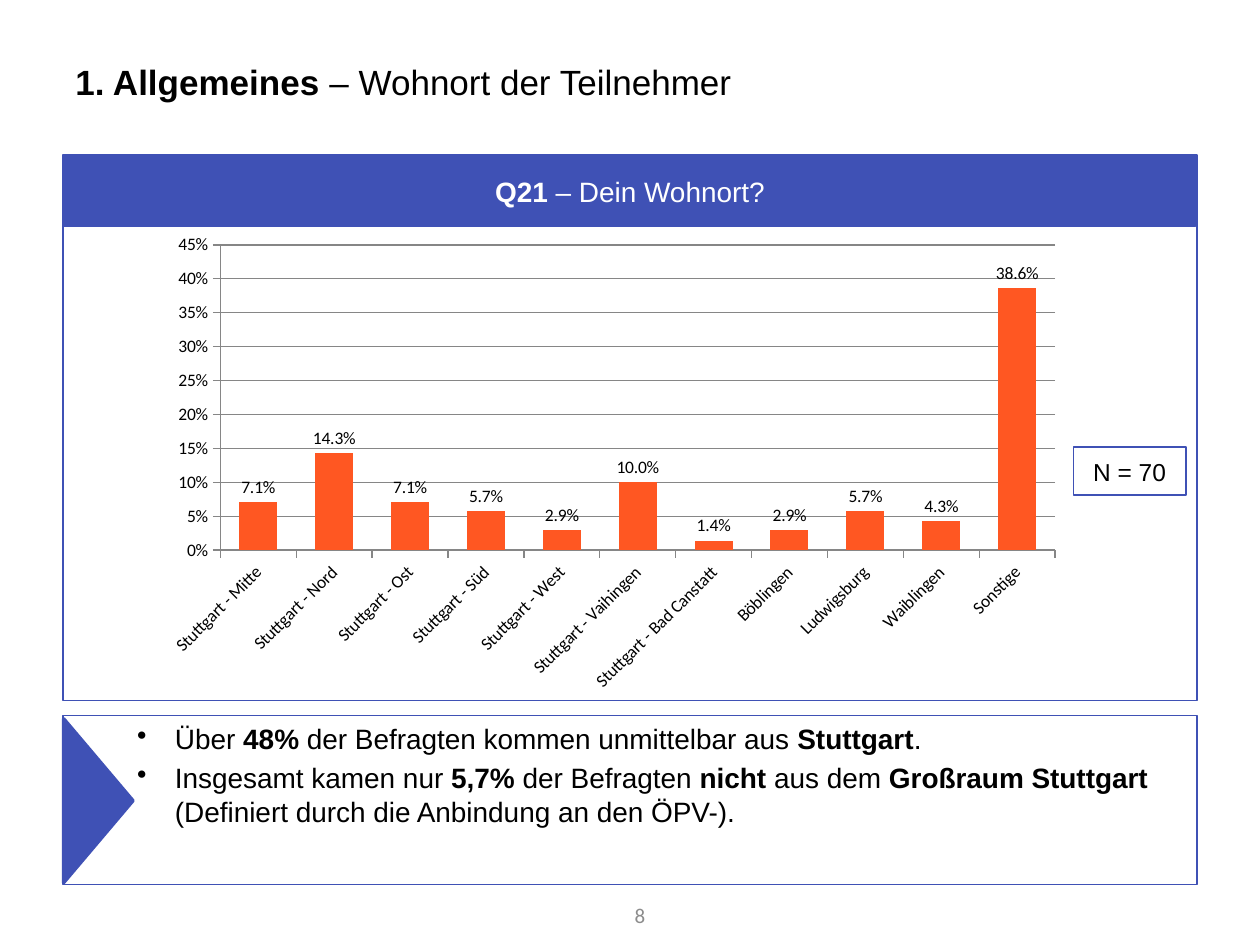
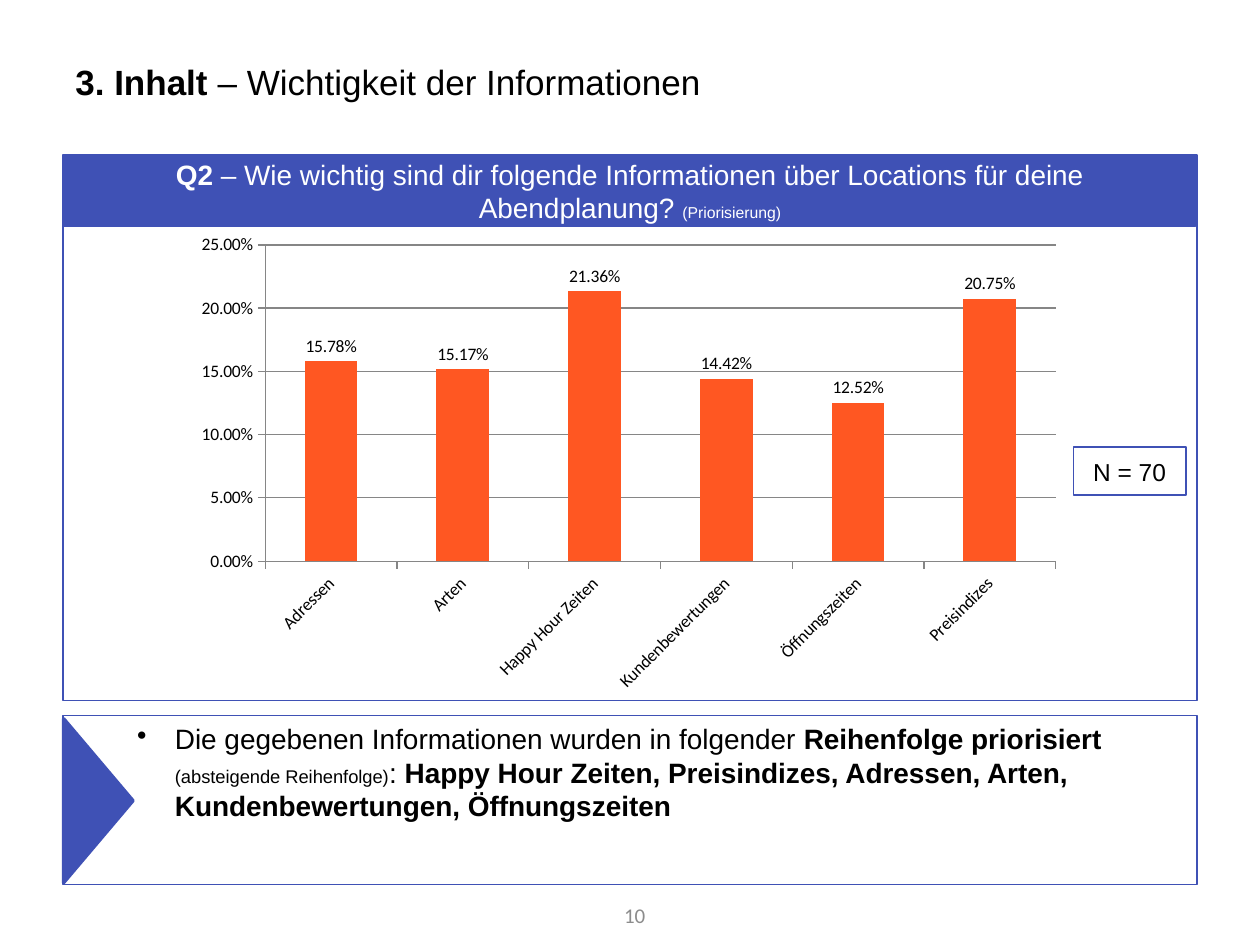
import pptx
import pptx.util
import pptx.chart.data
import pptx.dml.color
import pptx.enum.chart
import pptx.enum.shapes
import pptx.enum.text
import pptx.oxml

Inches, Pt = pptx.util.Inches, pptx.util.Pt
RGB = pptx.dml.color.RGBColor.from_string
ALIGN = pptx.enum.text.PP_ALIGN
ANCHOR = pptx.enum.text.MSO_ANCHOR
SHAPE = pptx.enum.shapes.MSO_SHAPE
XL = pptx.enum.chart

COLORS = {"accent": "3F51B5", "bar": "FF5722", "text": "000000",
          "on_accent": "FFFFFF", "page": "8C8C8C", "axis": "868686"}
BOLD = {"bold": True}

questions = [
    {
        "title": [("1. Allgemeines ", BOLD), ("– Wohnort der Teilnehmer", {})],
        "question": [("Q21 ", BOLD), ("– Dein Wohnort?", {})],
        "findings": [
            [("Über ", {}), ("48% ", BOLD),
             ("der Befragten kommen unmittelbar aus ", {}),
             ("Stuttgart", BOLD), (".", {})],
            [("Insgesamt kamen nur ", {}), ("5,7% ", BOLD),
             ("der Befragten ", {}), ("nicht", BOLD), (" aus dem ", {}),
             ("Großraum Stuttgart ", BOLD),
             ("(Definiert durch die Anbindung an den ÖPV-).", {})],
        ],
        "page": "8",
        "chart_left": 1.22,
        "answers": {
            "Stuttgart - Mitte": 0.071, "Stuttgart - Nord": 0.143,
            "Stuttgart - Ost": 0.071, "Stuttgart - Süd": 0.057,
            "Stuttgart - West": 0.029, "Stuttgart - Vaihingen": 0.1,
            "Stuttgart - Bad Canstatt": 0.014, "Böblingen": 0.029,
            "Ludwigsburg": 0.057, "Waiblingen": 0.043, "Sonstige": 0.386,
        },
        "maximum": 0.45, "gap": 100,
        "axis_format": "0%", "label_format": "0.0%",
    },
    {
        "title": [("3. Inhalt ", BOLD), ("– Wichtigkeit der Informationen", {})],
        "question": [
            ("Q2 ", BOLD),
            ("– Wie wichtig sind dir folgende Informationen über Locations "
             "für deine Abendplanung? ", {}),
            ("(Priorisierung)", {"size": Pt(9)})],
        "findings": [
            [("Die gegebenen Informationen wurden in folgender ", {}),
             ("Reihenfolge priorisiert ", BOLD),
             ("(absteigende Reihenfolge)", {"size": Pt(10.5)}), (": ", {}),
             ("Happy Hour Zeiten, Preisindizes, Adressen, Arten, "
              "Kundenbewertungen, Öffnungszeiten", BOLD)],
        ],
        "page": "10",
        "chart_left": 1.46,
        "answers": {
            "Adressen": 0.1578, "Arten": 0.1517, "Happy Hour Zeiten": 0.2136,
            "Kundenbewertungen": 0.1442, "Öffnungszeiten": 0.1252,
            "Preisindizes": 0.2075,
        },
        "maximum": 0.25, "gap": 150,
        "axis_format": "0.00%", "label_format": "0.00%",
    },
]


def add_panel(slide, at, line_width, fill=None, preset=SHAPE.RECTANGLE):
    """Add a preset shape outlined in the accent colour."""
    panel = slide.shapes.add_shape(preset, *map(Inches, at))
    panel.shadow.inherit = False
    panel.line.color.rgb = RGB(COLORS["accent"])
    panel.line.width = Pt(line_width)
    if fill:
        panel.fill.solid()
        panel.fill.fore_color.rgb = RGB(COLORS[fill])
    else:
        panel.fill.background()
    return panel


def write(shape, paragraphs, size, color="text", font="Arial",
          align=ALIGN.LEFT, anchor=ANCHOR.MIDDLE, bullets=False):
    """Fill a shape with paragraphs, each a list of (text, font changes)."""
    frame = shape.text_frame
    frame.word_wrap = True
    frame.vertical_anchor = anchor
    for index, runs in enumerate(paragraphs):
        paragraph = frame.add_paragraph() if index else frame.paragraphs[0]
        paragraph.alignment = align
        if bullets:
            properties = paragraph._p.get_or_add_pPr()
            properties.set("marL", str(Inches(0.79)))
            properties.set("indent", str(Inches(-0.3)))
            properties.append(pptx.oxml.parse_xml(
                '<a:buChar xmlns:a="http://schemas.openxmlformats.org/'
                'drawingml/2006/main" char="•"/>'))
            if index:
                paragraph.space_before = Pt(size * 0.2)
        for text, changes in runs:
            run = paragraph.add_run()
            run.text = text
            run.font.color.rgb = RGB(COLORS[color])
            values = {"name": font, "size": Pt(size), "bold": False} | changes
            for attribute, value in values.items():
                setattr(run.font, attribute, value)


deck = pptx.Presentation()
deck.slide_width, deck.slide_height = Inches(10), Inches(7.5)

for content in questions:
    slide = deck.slides.add_slide(deck.slide_layouts[6])

    title = slide.shapes.add_textbox(*map(Inches, (0.5, 0.3, 9, 0.69)))
    write(title, [content["title"]], 20)

    findings = add_panel(slide, (0.5, 5.68, 9, 1.34), 1)
    write(findings, content["findings"], 16, anchor=ANCHOR.TOP, bullets=True)
    pointer = add_panel(slide, (0.13, 6.08, 1.3, 0.55), 2, "accent",
                        SHAPE.ISOSCELES_TRIANGLE)
    pointer.rotation = 90

    add_panel(slide, (0.5, 1.23, 9, 4.33), 1)
    question = add_panel(slide, (0.51, 1.24, 8.98, 0.55), 2, "accent")
    write(question, [content["question"]], 16, "on_accent", align=ALIGN.CENTER)

    sample_size = add_panel(slide, (8.52, 3.55, 0.89, 0.38), 1)
    write(sample_size, [[("N = 70", {})]], 14, align=ALIGN.CENTER)

    page = slide.shapes.add_textbox(*map(Inches, (4.59, 7.06, 0.63, 0.4)))
    write(page, [[(content["page"], {})]], 12, "page", "Calibri", ALIGN.RIGHT)

    shares = pptx.chart.data.CategoryChartData()
    shares.categories = list(content["answers"])
    shares.add_series("Series 1", list(content["answers"].values()))
    left = content["chart_left"]
    chart = slide.shapes.add_chart(
        XL.XL_CHART_TYPE.COLUMN_CLUSTERED,
        *map(Inches, (left, 1.79, 8.52 - left, 3.77)), shares).chart
    chart.has_legend = False
    chart.has_title = False
    chart.font.size = Pt(10)
    chart.font.name = "Calibri"
    chart.font.color.rgb = RGB(COLORS["text"])

    plot = chart.plots[0]
    plot.gap_width = content["gap"]
    plot.vary_by_categories = False
    bars = plot.series[0]
    bars.invert_if_negative = False
    bars.format.fill.solid()
    bars.format.fill.fore_color.rgb = RGB(COLORS["bar"])
    plot.has_data_labels = True
    label_format = {"show_value": True, "number_format_is_linked": False,
                    "number_format": content["label_format"],
                    "position": XL.XL_LABEL_POSITION.OUTSIDE_END}
    for attribute, value in label_format.items():
        setattr(plot.data_labels, attribute, value)

    scale, places = chart.value_axis, chart.category_axis
    scale_format = {"minimum_scale": 0, "maximum_scale": content["maximum"],
                    "major_unit": 0.05, "has_major_gridlines": True}
    for attribute, value in scale_format.items():
        setattr(scale, attribute, value)
    scale.tick_labels.number_format = content["axis_format"]
    scale.tick_labels.number_format_is_linked = False
    for axis in (scale, places):
        axis.major_tick_mark = XL.XL_TICK_MARK.OUTSIDE
        axis.minor_tick_mark = XL.XL_TICK_MARK.NONE
    for line in (scale.format.line, places.format.line,
                 scale.major_gridlines.format.line):
        line.color.rgb = RGB(COLORS["axis"])
        line.width = Pt(0.75)
    places.tick_labels.font.size = Pt(10)
    slant = places._element.txPr.bodyPr
    slant.set("rot", "-2700000")
    slant.set("vert", "horz")

deck.save("out.pptx")
